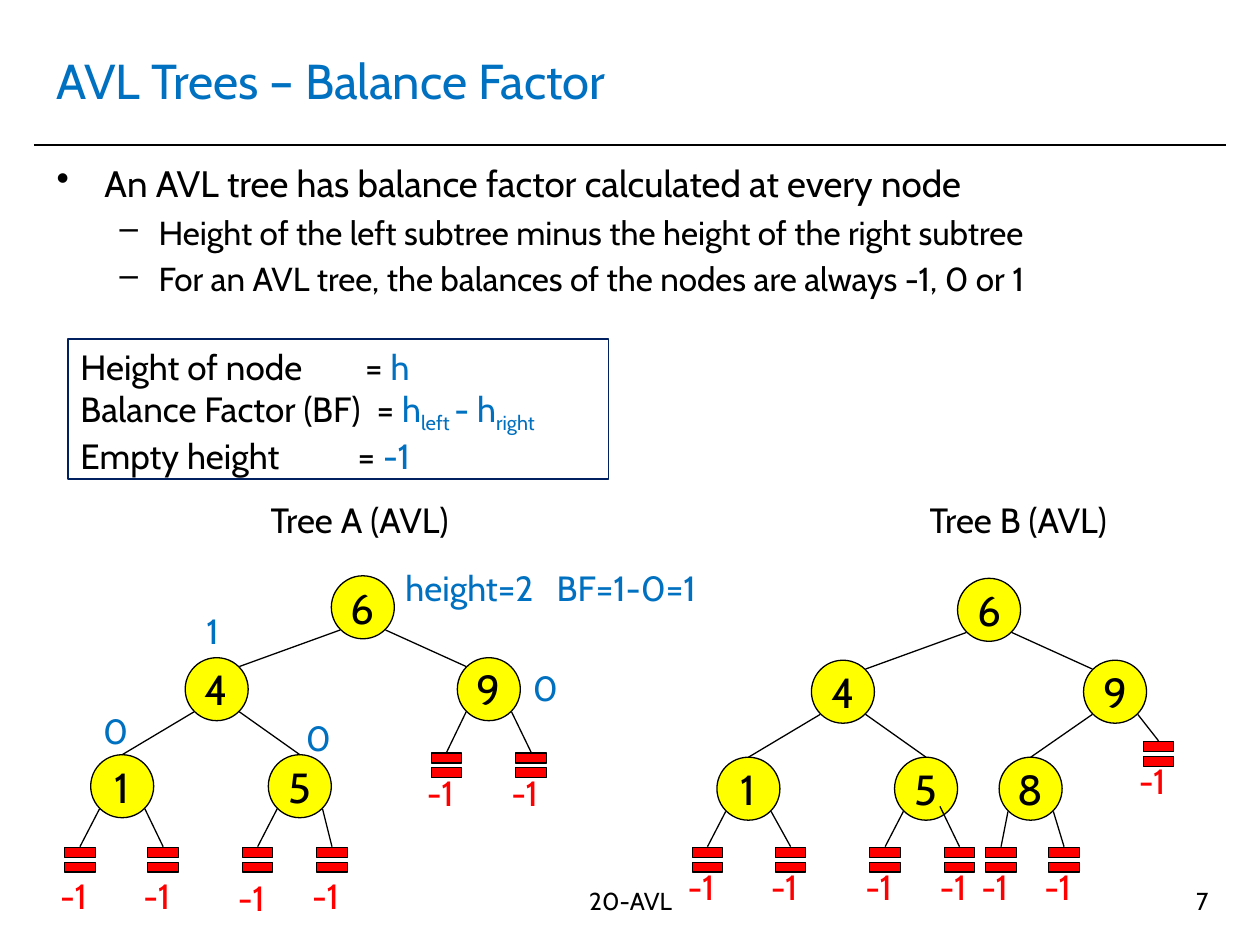
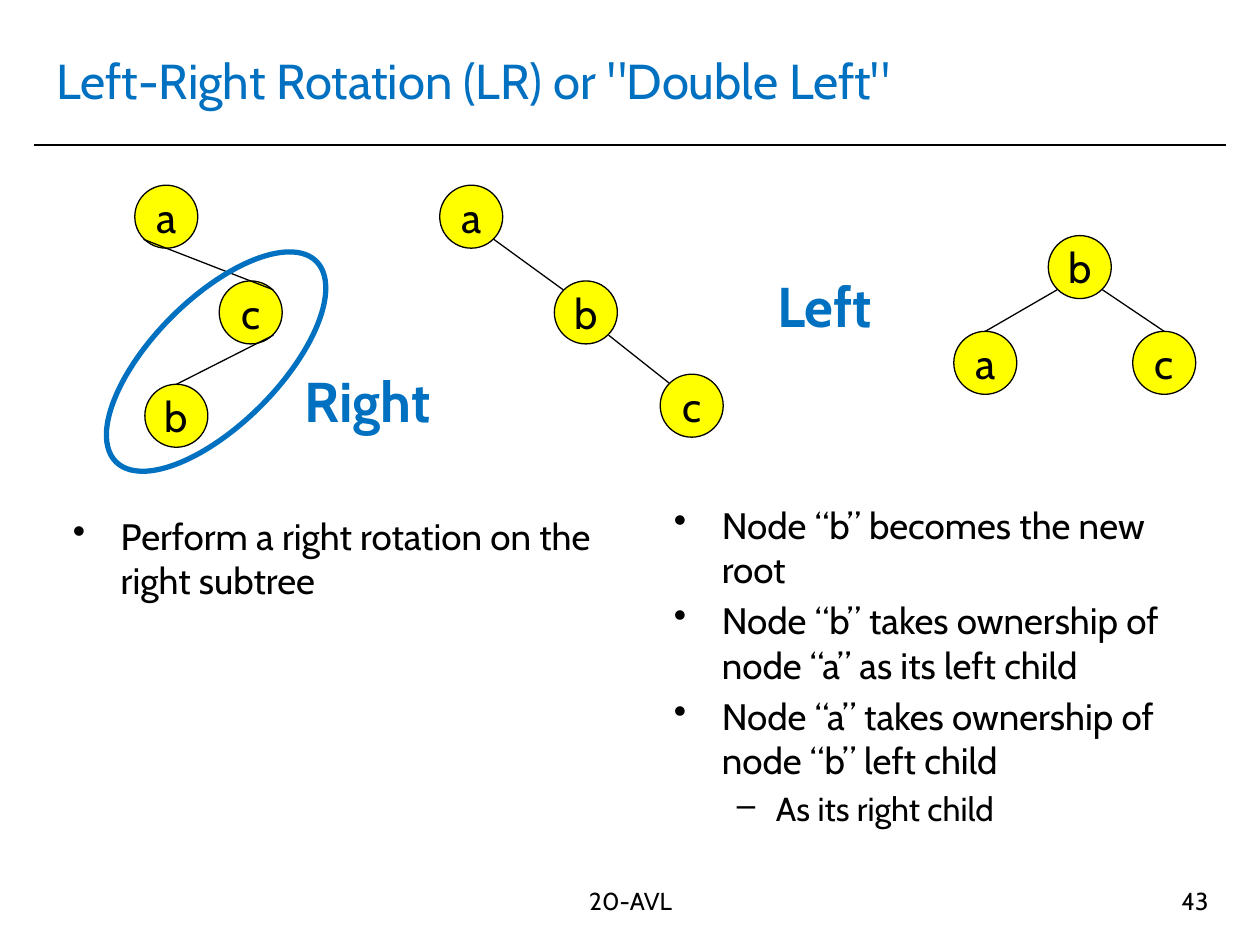
from dataclasses import dataclass
from enum import Enum
from typing import NamedTuple

from lxml.etree import SubElement
from pptx import Presentation
from pptx.dml.color import RGBColor
from pptx.enum.shapes import MSO_CONNECTOR, MSO_SHAPE
from pptx.enum.text import MSO_ANCHOR, MSO_AUTO_SIZE, PP_ALIGN
from pptx.oxml.ns import qn
from pptx.util import Inches, Pt


@dataclass(frozen=True)
class Theme:
    font: str = "Cabin"
    black: RGBColor = RGBColor(0x00, 0x00, 0x00)
    blue: RGBColor = RGBColor(0x00, 0x70, 0xC0)
    navy: RGBColor = RGBColor(0x00, 0x20, 0x60)
    red: RGBColor = RGBColor(0xFF, 0x00, 0x00)
    yellow: RGBColor = RGBColor(0xFF, 0xFF, 0x00)
    title: float = 28
    rotation: float = 32
    node: float = 24
    bullet: float = 21
    dash: float = 19
    label: float = 20
    footer: float = 14
    thin: float = 0.75


THEME = Theme()
NODE_SIZE = 0.5
LEAF_SIZE = 0.33


class Port(Enum):
    """Point on a node, measured from its left top corner."""
    TOP = (0.25, 0)
    TOP_LEFT = (0.07, 0.07)
    TOP_RIGHT = (0.43, 0.07)
    BOTTOM_LEFT = (0.07, 0.43)
    BOTTOM_RIGHT = (0.43, 0.43)
    INNER_RIGHT = (0.36, 0.39)


class Box(NamedTuple):
    left: float
    top: float
    width: float
    height: float


class Node(NamedTuple):
    left: float
    top: float


class Edge(NamedTuple):
    parent: str
    child: str
    start: Port
    end: Port = Port.TOP


class Leaf(NamedTuple):
    """Empty subtree, with its height written label_drop below its top."""
    parent: str
    start: Port
    left: float
    top: float = 6.66
    label_drop: float = 0.16


class Label(NamedTuple):
    text: str
    left: float
    top: float


class Bullet(NamedTuple):
    text: str
    level: int = 0


class BulletStyle(NamedTuple):
    mark: str
    size: float
    margin: float
    indent: float


class Run(NamedTuple):
    text: str
    color: RGBColor = THEME.blue
    subscript: bool = False


class Formula(NamedTuple):
    tab: float
    runs: tuple[Run, ...]


@dataclass(frozen=True)
class Tree:
    nodes: dict[str, Node]
    edges: tuple[Edge, ...]
    leaves: tuple[Leaf, ...] = ()


BULLET_STYLES = (BulletStyle("•", THEME.bullet, 0.38, -0.38),
                 BulletStyle("–", THEME.dash, 0.81, -0.31))

NODES_A = {"6": Node(2.63, 4.57), "4": Node(1.47, 5.22), "9": Node(3.63, 5.22),
           "1": Node(0.72, 5.99), "5": Node(2.13, 5.99)}
EDGES_A = (Edge("6", "4", Port.BOTTOM_LEFT, Port.TOP_RIGHT),
           Edge("6", "9", Port.BOTTOM_RIGHT, Port.TOP_LEFT),
           Edge("4", "1", Port.BOTTOM_LEFT),
           Edge("4", "5", Port.BOTTOM_RIGHT))
TREE_A = Tree(NODES_A, EDGES_A, (
    Leaf("1", Port.BOTTOM_LEFT, 0.47, label_drop=0.23),
    Leaf("1", Port.BOTTOM_RIGHT, 1.13, label_drop=0.23),
    Leaf("5", Port.BOTTOM_LEFT, 1.88, label_drop=0.25),
    Leaf("5", Port.BOTTOM_RIGHT, 2.47, label_drop=0.23),
    Leaf("9", Port.BOTTOM_LEFT, 3.38, 5.91),
    Leaf("9", Port.BOTTOM_RIGHT, 4.05, 5.91)))
NODES_B = {key: Node(node.left + 4.97, node.top + 0.02) for key, node in NODES_A.items()}
TREE_B = Tree(NODES_B | {"8": Node(7.93, 6.01)}, EDGES_A + (Edge("9", "8", Port.BOTTOM_LEFT),), (
    Leaf("1", Port.BOTTOM_LEFT, 5.45),
    Leaf("1", Port.BOTTOM_RIGHT, 6.11),
    Leaf("5", Port.BOTTOM_LEFT, 6.86),
    Leaf("5", Port.INNER_RIGHT, 7.45),
    Leaf("8", Port.BOTTOM_LEFT, 7.78),
    Leaf("8", Port.BOTTOM_RIGHT, 8.28),
    Leaf("9", Port.BOTTOM_RIGHT, 9.03, 5.82)))
ROTATION_TREES = (
    Tree({"a": Node(1.07, 1.47), "c": Node(1.74, 2.23), "b": Node(1.15, 3.05)},
         (Edge("a", "c", Port.BOTTOM_LEFT, Port.TOP_RIGHT),
          Edge("c", "b", Port.BOTTOM_RIGHT))),
    Tree({"a": Node(3.49, 1.47), "b": Node(4.4, 2.23), "c": Node(5.24, 2.97)},
         (Edge("a", "b", Port.BOTTOM_RIGHT, Port.TOP_LEFT),
          Edge("b", "c", Port.BOTTOM_RIGHT, Port.TOP_LEFT))),
    Tree({"b": Node(8.32, 1.87), "a": Node(7.57, 2.63), "c": Node(8.99, 2.63)},
         (Edge("b", "a", Port.BOTTOM_LEFT), Edge("b", "c", Port.BOTTOM_RIGHT))))

HEIGHT_LABELS = (Label("0", 4.13, 5.24), Label("0", 0.72, 5.58),
                 Label("0", 2.33, 5.64), Label("1", 1.54, 4.79))
FORMULAS = (
    Formula(2.26, (Run("Height of node\t= ", THEME.black), Run("h"))),
    Formula(2.35, (Run("Balance Factor (BF)\t= ", THEME.black), Run("h"),
                   Run("left ", subscript=True), Run("- h"), Run("right", subscript=True))),
    Formula(2.2, (Run("Empty height\t= ", THEME.black), Run("-1"))))


def place(box: Box) -> tuple:
    return tuple(Inches(value) for value in box)


def style_font(font, size: float, color: RGBColor, bold: bool = False) -> None:
    font.name = THEME.font
    font.size = Pt(size)
    font.color.rgb = color
    font.bold = bold


def style_runs(paragraph, size: float, color: RGBColor, bold: bool = False) -> None:
    for run in paragraph.runs:
        style_font(run.font, size, color, bold)


def add_text(slide, box: Box, text: str, size: float, color: RGBColor = THEME.black,
             align=PP_ALIGN.LEFT, anchor=MSO_ANCHOR.TOP, bold: bool = False, wrap: bool = True):
    text_frame = slide.shapes.add_textbox(*place(box)).text_frame
    text_frame.word_wrap = wrap
    text_frame.vertical_anchor = anchor
    if not wrap:
        text_frame.auto_size = MSO_AUTO_SIZE.SHAPE_TO_FIT_TEXT
    text_frame.text = text
    paragraph = text_frame.paragraphs[0]
    paragraph.alignment = align
    style_runs(paragraph, size, color, bold)
    return paragraph


def add_tab(paragraph, position: float) -> None:
    tabs = SubElement(paragraph._p.get_or_add_pPr(), qn("a:tabLst"))
    SubElement(tabs, qn("a:tab"), pos=str(Inches(position)), algn="l")


def add_line(slide, start: tuple, end: tuple, width: float = THEME.thin):
    connector = slide.shapes.add_connector(
        MSO_CONNECTOR.STRAIGHT, *(Inches(value) for value in (*start, *end)))
    connector.line.color.rgb = THEME.black
    connector.line.width = Pt(width)
    SubElement(connector._element.spPr, qn("a:effectLst"))
    return connector


def add_outlined(slide, kind, box: Box, line: RGBColor, width: float, fill: RGBColor | None = None):
    shape = slide.shapes.add_shape(kind, *place(box))
    shape.shadow.inherit = False
    if fill is None:
        shape.fill.background()
    else:
        shape.fill.solid()
        shape.fill.fore_color.rgb = fill
    shape.line.color.rgb = line
    shape.line.width = Pt(width)
    return shape


def add_node(slide, text: str, node: Node):
    box = Box(node.left, node.top, NODE_SIZE, NODE_SIZE)
    shape = add_outlined(slide, MSO_SHAPE.OVAL, box, THEME.black, THEME.thin, THEME.yellow)
    text_frame = shape.text_frame
    text_frame.word_wrap = False
    text_frame.vertical_anchor = MSO_ANCHOR.MIDDLE
    text_frame.text = text
    text_frame.paragraphs[0].alignment = PP_ALIGN.CENTER
    style_runs(text_frame.paragraphs[0], THEME.node, THEME.black)
    return shape


def port_point(node: Node, port: Port) -> tuple[float, float]:
    across, down = port.value
    return node.left + across, node.top + down


def add_leaf(slide, leaf: Leaf, parent: Node) -> None:
    box = Box(leaf.left, leaf.top, LEAF_SIZE, LEAF_SIZE)
    add_outlined(slide, MSO_SHAPE.MATH_EQUAL, box, THEME.black, THEME.thin, THEME.red)
    add_line(slide, port_point(parent, leaf.start), (leaf.left + LEAF_SIZE / 2, leaf.top + 0.06))
    add_text(slide, Box(leaf.left - 0.09, leaf.top + leaf.label_drop, 0.46, 0.44), "-1",
             THEME.label, THEME.red, wrap=False)


def add_tree(slide, tree: Tree) -> None:
    shapes = {key: add_node(slide, key, node) for key, node in tree.nodes.items()}
    for edge in tree.edges:
        connector = add_line(slide, port_point(tree.nodes[edge.parent], edge.start),
                             port_point(tree.nodes[edge.child], edge.end))
        if edge.end is Port.TOP:
            connector.end_connect(shapes[edge.child], 0)
    for leaf in tree.leaves:
        add_leaf(slide, leaf, tree.nodes[leaf.parent])


def add_bullets(slide, box: Box, bullets: tuple[Bullet, ...]) -> None:
    text_frame = slide.shapes.add_textbox(*place(box)).text_frame
    text_frame.word_wrap = True
    for index, bullet in enumerate(bullets):
        style = BULLET_STYLES[bullet.level]
        paragraph = text_frame.add_paragraph() if index else text_frame.paragraphs[0]
        paragraph.text = bullet.text
        paragraph.level = bullet.level
        properties = paragraph._p.get_or_add_pPr()
        properties.set("marL", str(Inches(style.margin)))
        properties.set("indent", str(Inches(style.indent)))
        SubElement(properties, qn("a:buChar"), char=style.mark)
        if index:
            paragraph.space_before = Pt(style.size * 0.2)
        style_runs(paragraph, style.size, THEME.black)


def add_formulas(slide) -> None:
    shape = add_outlined(slide, MSO_SHAPE.RECTANGLE, Box(0.54, 2.69, 4.29, 1.11), THEME.navy, 1)
    text_frame = shape.text_frame
    text_frame.word_wrap = True
    text_frame.vertical_anchor = MSO_ANCHOR.TOP
    for index, formula in enumerate(FORMULAS):
        paragraph = text_frame.add_paragraph() if index else text_frame.paragraphs[0]
        paragraph.alignment = PP_ALIGN.LEFT
        add_tab(paragraph, formula.tab)
        for part in formula.runs:
            run = paragraph.add_run()
            run.text = part.text
            style_font(run.font, THEME.label, part.color)
            if part.subscript:
                run.font._element.set("baseline", "-25000")


def add_slide(presentation, title: str, number: int):
    slide = presentation.slides.add_slide(presentation.slide_layouts[6])
    add_line(slide, (0.27, 1.15), (9.73, 1.15), 1)
    add_text(slide, Box(0.35, 0.21, 9.29, 0.85), title, THEME.title, THEME.blue,
             anchor=MSO_ANCHOR.MIDDLE)
    add_text(slide, Box(3.35, 6.98, 3.31, 0.52), "20-AVL", THEME.footer, align=PP_ALIGN.CENTER)
    add_text(slide, Box(7.36, 6.98, 2.33, 0.52), str(number), THEME.footer, align=PP_ALIGN.RIGHT)
    return slide


def build_balance_factor(presentation) -> None:
    slide = add_slide(presentation, "AVL Trees – Balance Factor", 7)
    add_bullets(slide, Box(0.35, 1.23, 9.29, 1.3), (
        Bullet("An AVL tree has balance factor calculated at every node"),
        Bullet("Height of the left subtree minus the height of the right subtree", 1),
        Bullet("For an AVL tree, the balances of the nodes are always -1, 0 or 1", 1)))
    for label in HEIGHT_LABELS:
        add_text(slide, Box(label.left, label.top, 0.35, 0.44), label.text, THEME.label,
                 THEME.blue, wrap=False)
    root_label = add_text(slide, Box(3.12, 4.45, 2.87, 0.44), "height=2\tBF=1-0=1",
                          THEME.label, THEME.blue)
    add_tab(root_label, 1.2)
    for name, left, tree in (("Tree A (AVL)", 2.05, TREE_A), ("Tree B (AVL)", 7.28, TREE_B)):
        add_tree(slide, tree)
        add_text(slide, Box(left, 3.91, 1.83, 0.43), name, THEME.label)
    add_formulas(slide)


def build_left_right_rotation(presentation) -> None:
    slide = add_slide(presentation, 'Left-Right Rotation (LR) or "Double Left"', 43)
    for tree in ROTATION_TREES:
        add_tree(slide, tree)
    for label in (Label("Right", 2.32, 2.8), Label("Left", 6.07, 2.05)):
        add_text(slide, Box(label.left, label.top, 2.17, 0.75), label.text, THEME.rotation,
                 THEME.blue, anchor=MSO_ANCHOR.MIDDLE, bold=True)
    subtree_ring = add_outlined(slide, MSO_SHAPE.OVAL, Box(0.59, 2.37, 2.25, 1), THEME.blue, 3)
    subtree_ring.rotation = 315
    add_bullets(slide, Box(0.48, 4.03, 4.42, 1.08),
                (Bullet("Perform a right rotation on the right subtree"),))
    add_bullets(slide, Box(5.25, 3.94, 4.42, 2.87), (
        Bullet("Node “b” becomes the new root"),
        Bullet("Node “b” takes ownership of node “a” as its left child"),
        Bullet("Node “a” takes ownership of node “b” left child"),
        Bullet("As its right child", 1)))


def main() -> None:
    presentation = Presentation()
    presentation.slide_width = Inches(10)
    presentation.slide_height = Inches(7.5)
    build_balance_factor(presentation)
    build_left_right_rotation(presentation)
    presentation.save("out.pptx")


if __name__ == "__main__":
    main()
